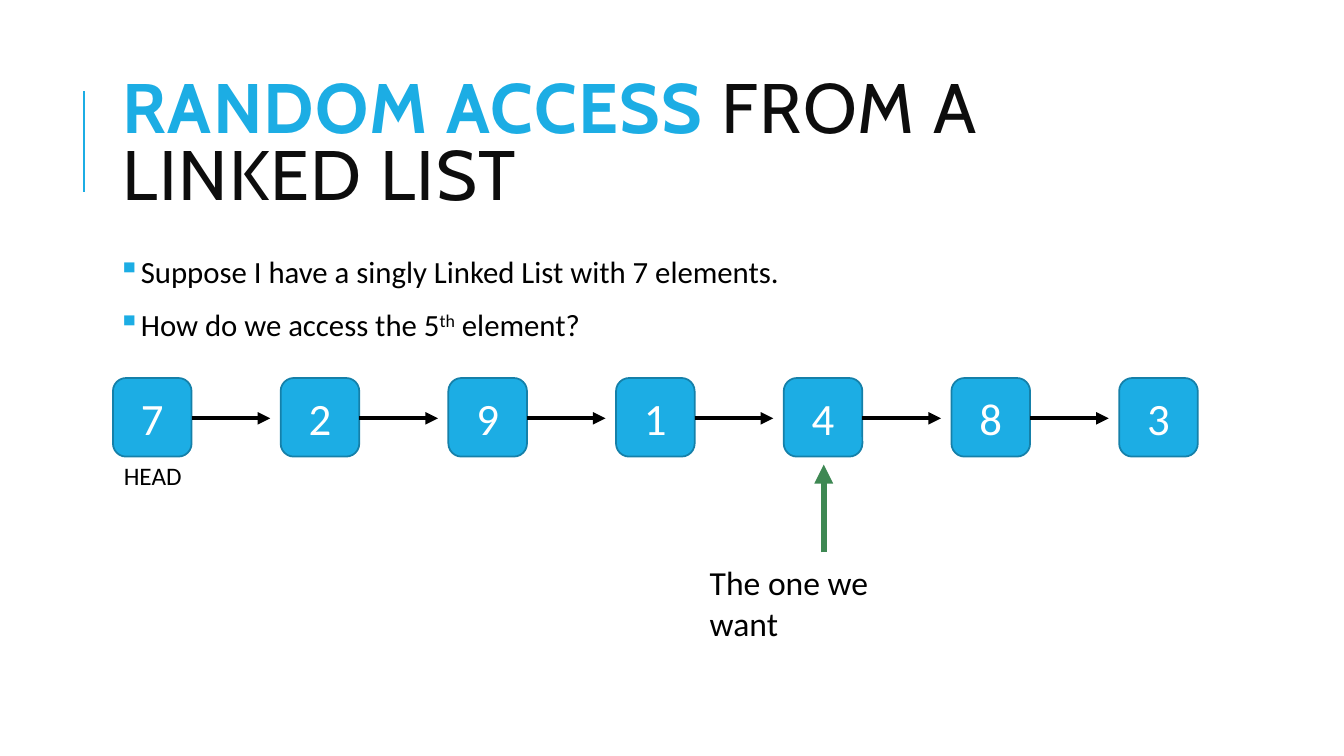
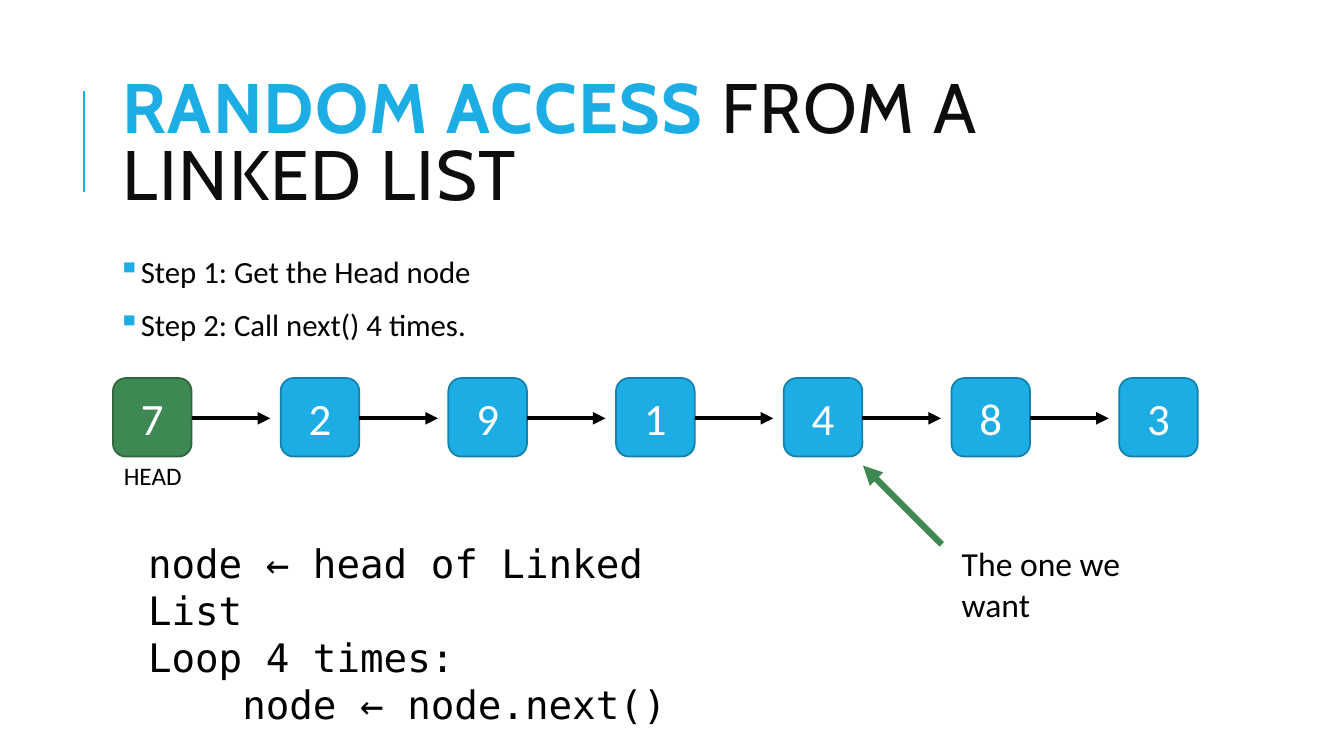
from pptx import Presentation
from pptx.dml.color import RGBColor
from pptx.enum.shapes import MSO_CONNECTOR, MSO_SHAPE
from pptx.enum.text import MSO_ANCHOR, PP_ALIGN
from pptx.oxml.ns import qn
from pptx.util import Inches, Pt
from lxml import etree

ROUND = MSO_SHAPE.ROUNDED_RECTANGLE
LINE = MSO_CONNECTOR.STRAIGHT
MIDDLE = MSO_ANCHOR.MIDDLE
TOP = MSO_ANCHOR.TOP
CENTER = PP_ALIGN.CENTER

BLUE, NAVY = "1CADE4", "1580A9"
GREEN, DARK = "3E8853", "2F663E"
BLACK, INK, WHITE = "000000", "0D0D0D", "FFFFFF"
HEAD_FONT, FONT, CODE_FONT = "Cabin", "Calibri", "DejaVu Sans Mono"

TITLE = (1.12, 0.64, 10.63, 1.64)
BODY = (1.12, 2.5, 10.63, 4.4)
CHAIN = (1.12, 3.75, 10.76, 0.78)
VALUES = [7, 2, 9, 1, 4, 8, 3]


def color(code):
    return RGBColor.from_string(code)


def style(run, size, tone=BLACK, face=FONT, bold=False):
    font = run.font
    font.size, font.name, font.bold = Pt(size), face, bold
    font.color.rgb = color(tone)


def add_run(para, text, size, tone=BLACK, face=FONT, bold=False):
    run = para.add_run()
    run.text = text
    style(run, size, tone, face, bold)
    return run


def add_box(slide, box, wrap=True, anchor=TOP):
    frame = slide.shapes.add_textbox(*map(Inches, box)).text_frame
    frame.word_wrap = wrap
    frame.vertical_anchor = anchor
    return frame


def add_text(slide, box, lines, size, face=FONT, wrap=True):
    frame = add_box(slide, box, wrap)
    frame.text = "\n".join(lines)
    for para in frame.paragraphs:
        style(para.runs[0], size, face=face)


def add_line(slide, start, end, tone, width, arrow=True):
    line = slide.shapes.add_connector(LINE, *map(Inches, (*start, *end)))
    line.line.color.rgb = color(tone)
    line.line.width = Pt(width)
    props = line._element.spPr
    if arrow:
        tip = etree.SubElement(props.find(qn("a:ln")), qn("a:tailEnd"))
        tip.set("type", "triangle")
    etree.SubElement(props, qn("a:effectLst"))


def add_title(slide, box, strong, plain):
    x, y = box[:2]
    add_line(slide, (x - 0.29, y + 1.26), (x - 0.29, y + 0.26), BLUE, 1.5, False)
    para = add_box(slide, box, anchor=MIDDLE).paragraphs[0]
    para.line_spacing = 0.8
    for text, tone, bold in ((strong, BLUE, True), (plain, INK, False)):
        run = add_run(para, text, 50, tone, HEAD_FONT, bold)
        run._r.get_or_add_rPr().set("spc", "100")


def add_bullet(para):
    props = para._p.get_or_add_pPr()
    props.set("marL", str(Inches(0.2)))
    props.set("indent", str(Inches(-0.2)))
    tint = etree.SubElement(props, qn("a:buClr"))
    etree.SubElement(tint, qn("a:srgbClr")).set("val", BLUE)
    etree.SubElement(props, qn("a:buChar")).set("char", "▪")


def add_body(slide, box, items):
    frame = add_box(slide, box)
    frame.margin_left = frame.margin_right = Inches(0.05)
    frame.margin_top = frame.margin_bottom = Inches(0.05)
    for i, parts in enumerate(items):
        para = frame.add_paragraph() if i else frame.paragraphs[0]
        add_bullet(para)
        para.line_spacing = 0.9
        para.space_before = Pt(12 if i else 0)
        para.space_after = Pt(2)
        for j, text in enumerate(parts):
            run = add_run(para, text, 22)
            if j == 1:
                run._r.get_or_add_rPr().set("baseline", "30000")


def add_node(slide, box, value, fill, edge):
    node = slide.shapes.add_shape(ROUND, *map(Inches, box))
    node.shadow.inherit = False
    node.fill.solid()
    node.fill.fore_color.rgb = color(fill)
    node.line.color.rgb = color(edge)
    node.line.width = Pt(1.25)
    frame = node.text_frame
    frame.vertical_anchor = MIDDLE
    frame.text = str(value)
    para = frame.paragraphs[0]
    para.alignment = CENTER
    style(para.runs[0], 32, WHITE)


def add_chain(slide, box, values, marked):
    left, top, width, side = box
    step = (width - side) / (len(values) - 1)
    for i, value in enumerate(values):
        x = left + i * step
        fill, edge = (GREEN, DARK) if i == marked else (BLUE, NAVY)
        add_node(slide, (x, top, side, side), value, fill, edge)
        if i:
            start = x - step + side
            add_line(slide, (start, top + 0.4), (start + 0.78, top + 0.4), BLACK, 3)
    add_text(slide, (left + 0.01, top + 0.77, 0.77, 0.4), ["HEAD"], 18, wrap=False)


def add_target(slide, start, end, spot):
    add_line(slide, start, end, GREEN, 4.5)
    add_text(slide, (*spot, 2.45, 0.5), ["The one we want"], 24)


def add_slide(deck, items, marked=None):
    slide = deck.slides.add_slide(deck.slide_layouts[6])
    add_title(slide, TITLE, "RANDOM ACCESS ", "FROM A LINKED LIST")
    add_body(slide, BODY, items)
    add_chain(slide, CHAIN, VALUES, marked)
    return slide


def main():
    deck = Presentation()
    deck.slide_width, deck.slide_height = Inches(13.33), Inches(7.5)

    slide = add_slide(deck, [
        ["Suppose I have a singly Linked List with 7 elements."],
        ["How do we access the 5", "th", " element?"],
    ])
    add_target(slide, (8.17, 5.48), (8.17, 4.61), (6.94, 5.53))

    slide = add_slide(deck, [
        ["Step 1: Get the Head node"],
        ["Step 2: Call next() 4 times."],
    ], marked=0)
    add_text(slide, (1.37, 5.3, 5.81, 1.51), [
        "node ← head of Linked List",
        "Loop 4 times:",
        "    node ← node.next()",
    ], 28, CODE_FONT)
    add_target(slide, (9.34, 5.4), (8.56, 4.62), (9.44, 5.34))

    deck.save("out.pptx")


if __name__ == "__main__":
    main()
